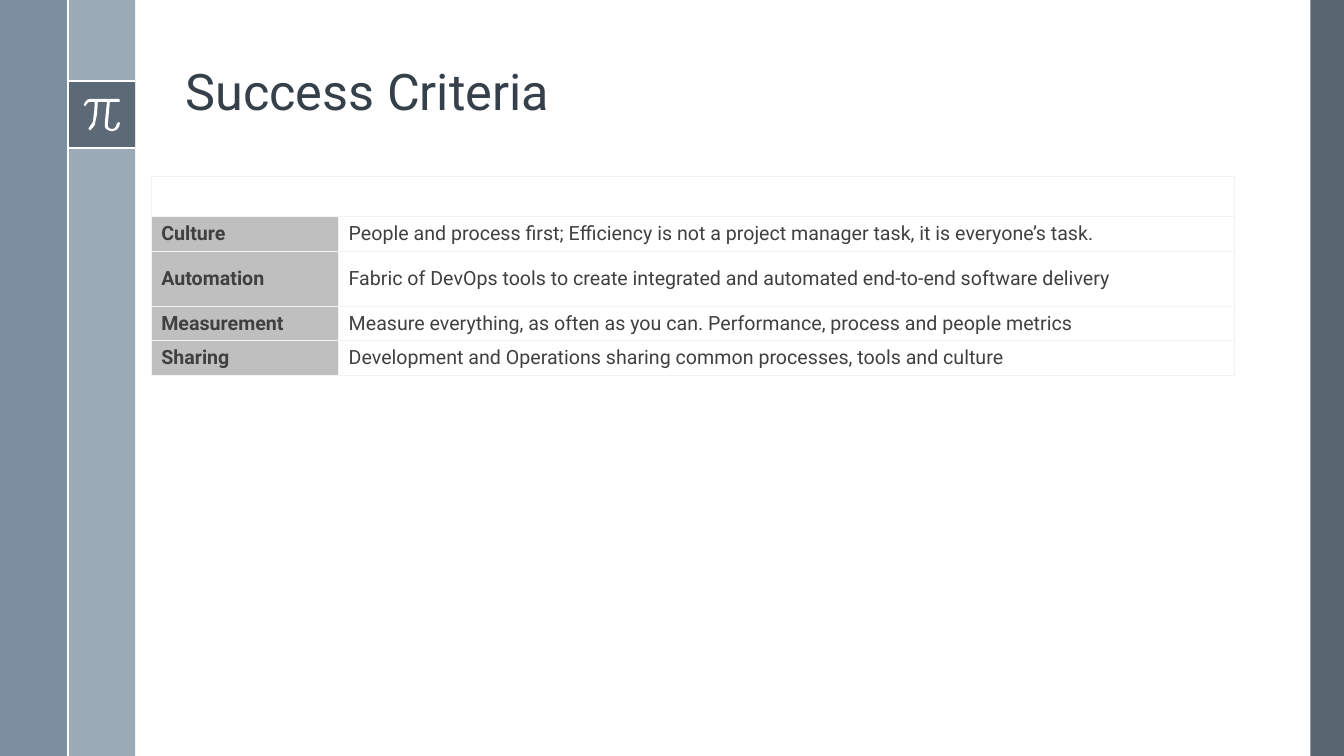
from lxml.etree import SubElement
from pptx import Presentation
from pptx.dml.color import RGBColor
from pptx.enum.shapes import MSO_CONNECTOR as LineKind, MSO_SHAPE as Preset
from pptx.enum.text import MSO_ANCHOR as Anchor, MSO_AUTO_SIZE as Fit, PP_ALIGN as Align
from pptx.oxml.ns import qn
from pptx.util import Pt

CRITERIA = [
    ("Culture", "People and process first; Efficiency is not a project manager task, it is everyone’s task."),
    ("Automation", "Fabric of DevOps tools to create integrated and automated end-to-end software delivery"),
    ("Measurement", "Measure everything, as often as you can. Performance, process and people metrics"),
    ("Sharing", "Development and Operations sharing common processes, tools and culture"),
]
ROW_HEIGHTS = [28.3, 25, 39.2, 25, 25]
COLUMN_WIDTHS = [133.9, 640.1]
PI_TENTHS = [
    (253, 0), (50, 0), (28, 5), (12, 20), (0, 43), (7, 50), (14, 50), (22, 36), (34, 24),
    (50, 22), (79, 22), (76, 80), (66, 165), (36, 209), (36, 216), (43, 223), (50, 223),
    (78, 190), (95, 110), (101, 22), (166, 22), (151, 173), (151, 195), (157, 212),
    (173, 223), (194, 230), (209, 230), (235, 222), (252, 200), (259, 173), (252, 166),
    (238, 173), (230, 200), (218, 212), (202, 216), (180, 209), (173, 195), (173, 173),
    (187, 22), (252, 22), (259, 14),
]


def colour(hex_text):
    return RGBColor.from_string(hex_text)


class SlideMaker:
    """Holds the style and the current slide, and draws each kind of element."""

    font_name = "Roboto"
    border = "F2F2F2"

    def __init__(self, slide):
        self.slide = slide

    def style(self, paragraph, ink, **formats):
        paragraph.alignment = Align.LEFT
        font = paragraph.runs[0].font
        font.color.rgb = colour(ink)
        for name, value in {"name": self.font_name, **formats}.items():
            setattr(font, name, value)

    def paint(self, shape, fill, opacity=100):
        shape.shadow.inherit = False
        shape.fill.solid()
        shape.fill.fore_color.rgb = colour(fill)
        shape.line.fill.background()
        if opacity < 100:
            tint = shape.fill._xPr.find(qn("a:solidFill"))[0]
            SubElement(tint, qn("a:alpha"), val=str(opacity * 1000))

    def band(self, left, top, width, height, fill, opacity=100):
        box = map(Pt, (left, top, width, height))
        self.paint(self.slide.shapes.add_shape(Preset.RECTANGLE, *box), fill, opacity)

    def rule(self, x1, y1, x2, y2):
        ends = map(Pt, (x1, y1, x2, y2))
        line = self.slide.shapes.add_connector(LineKind.STRAIGHT, *ends)
        line.line.color.rgb = colour("FFFFFF")
        line.line.width = Pt(1.5)
        SubElement(line._element.spPr, qn("a:effectLst"))

    def outline(self, left, top, points, fill):
        builder = self.slide.shapes.build_freeform(*points[0], scale=Pt(0.1))
        builder.add_line_segments(points[1:], close=True)
        self.paint(builder.convert_to_shape(Pt(left), Pt(top)), fill)

    def title(self, text, left, top, width, height):
        heading = self.slide.shapes.title
        box = {"left": left, "top": top, "width": width, "height": height}
        for name, value in box.items():
            setattr(heading, name, Pt(value))
        frame = heading.text_frame
        frame.text = text
        layout = {"vertical_anchor": Anchor.BOTTOM, "word_wrap": True, "auto_size": Fit.NONE}
        for name, value in layout.items():
            setattr(frame, name, value)
        frame.paragraphs[0].line_spacing = 0.9
        self.style(frame.paragraphs[0], "35404A", size=Pt(36))

    def cell_borders(self, cell):
        properties = cell._tc.get_or_add_tcPr()
        for side in ("lnL", "lnR", "lnT", "lnB"):
            edge = SubElement(properties, qn(f"a:{side}"), w=str(Pt(0.45)))
            SubElement(SubElement(edge, qn("a:solidFill")), qn("a:srgbClr"), val=self.border)

    def table(self, left, top, rows, widths, heights):
        box = map(Pt, (left, top, sum(widths), sum(heights)))
        grid = self.slide.shapes.add_table(len(heights), len(widths), *box).table
        grid.first_row = grid.horz_banding = False
        for column, width in zip(grid.columns, widths):
            column.width = Pt(width)
        for row, height in zip(grid.rows, heights):
            row.height = Pt(height)
        for cell in grid.iter_cells():
            self.cell_borders(cell)
            cell.fill.background()
        header = grid.cell(0, 0)
        header.merge(grid.cell(0, len(widths) - 1))
        header.margin_top = header.margin_bottom = 0
        for row_number, texts in enumerate(rows, 1):
            for column_number, text in enumerate(texts):
                cell = grid.cell(row_number, column_number)
                is_label = column_number == 0
                cell.text = text
                cell.vertical_anchor = Anchor.MIDDLE
                self.style(cell.text_frame.paragraphs[0], "404040", size=Pt(14), bold=is_label)
                if is_label:
                    cell.fill.solid()
                    cell.fill.fore_color.rgb = colour("BFBFBF")


def main():
    deck = Presentation()
    deck.slide_width, deck.slide_height = Pt(960), Pt(540)
    maker = SlideMaker(deck.slides.add_slide(deck.slide_layouts[5]))
    maker.band(936, 0, 24, 540, "475562", 90)
    maker.band(48.6, 0, 48, 540, "9BAAB7")
    maker.band(0, 0, 48.2, 540, "6A8093", 88)
    maker.band(48.6, 58, 48, 48, "475562", 75)
    for edge in (58, 106):
        maker.rule(48.6, edge, 96.6, edge)
    maker.outline(59.8, 70.6, PI_TENTHS, "FFFFFF")
    maker.rule(48.6, 0, 48.6, 540)
    maker.title("Success Criteria", 125.3, 13.7, 770.4, 76.3)
    maker.table(108, 126, CRITERIA, COLUMN_WIDTHS, ROW_HEIGHTS)
    deck.save("out.pptx")


if __name__ == "__main__":
    main()
